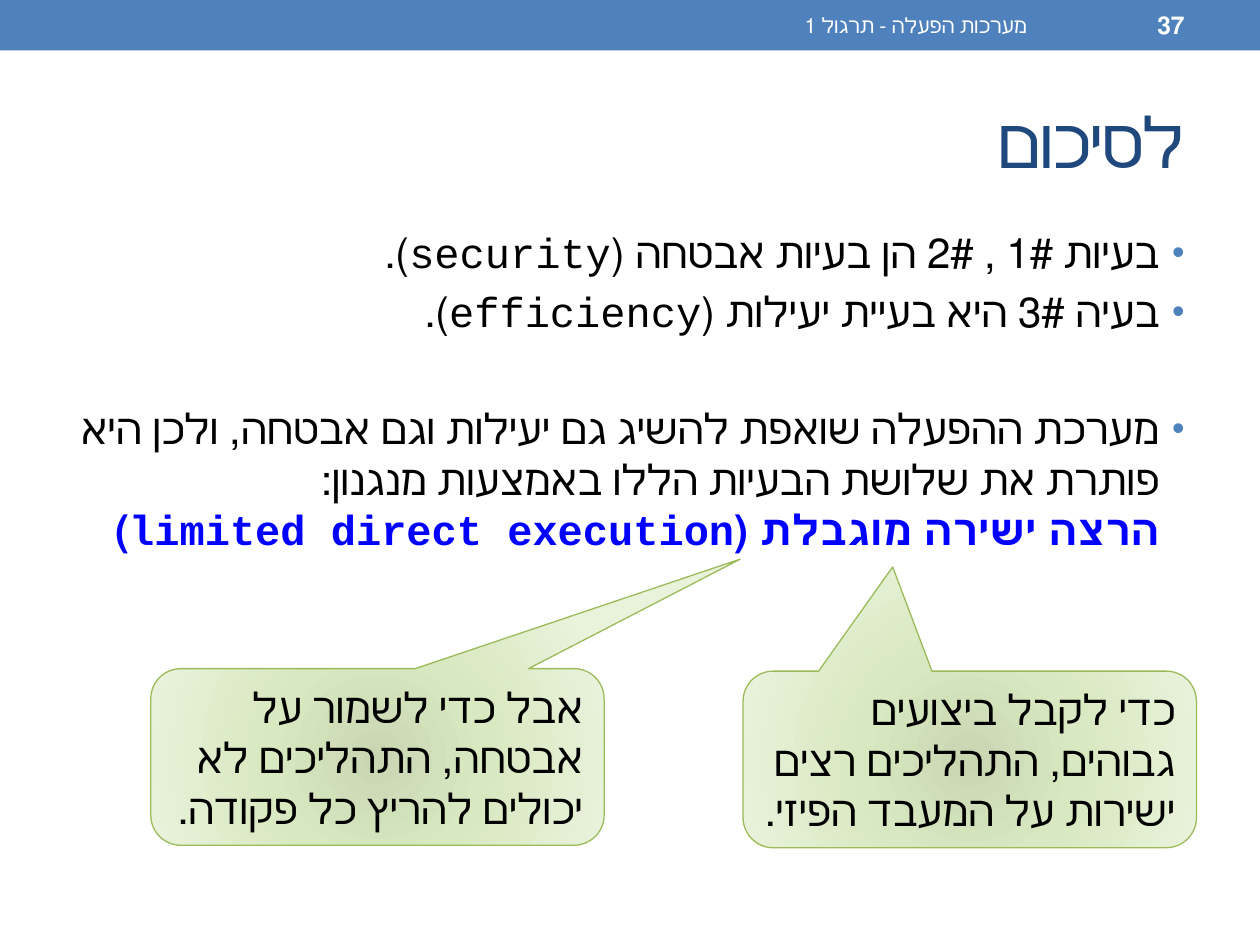
from lxml.etree import SubElement
from pptx import Presentation
from pptx.dml.color import RGBColor
from pptx.enum.shapes import MSO_SHAPE as Shape
from pptx.enum.text import MSO_ANCHOR as Anchor, PP_ALIGN as Align
from pptx.oxml import parse_xml
from pptx.oxml.ns import nsdecls, qn
from pptx.util import Cm, Pt


def rgb(code):
    return RGBColor.from_string(code)


def style(frame, size, color, font="Courier New", bold=False, anchor=Anchor.MIDDLE):
    """Format a frame of right-to-left text."""
    frame.word_wrap = True
    frame.vertical_anchor = anchor
    for para in frame.paragraphs:
        para.alignment = Align.RIGHT
        para._p.get_or_add_pPr().set("rtl", "1")
        for run in para.runs:
            run.font.size = Pt(size)
            run.font.bold = bold
            run.font.color.rgb = rgb(color)
            run.font.name = font


prs = Presentation()
prs.slide_width, prs.slide_height = Cm(25.4), Cm(19.05)
slide = prs.slides.add_slide(prs.slide_layouts[5])
shapes = slide.shapes

# Header band
band = shapes.add_shape(Shape.RECTANGLE, 0, 0, prs.slide_width, Cm(1.02))
band.shadow.inherit = False
band.fill.solid()
band.fill.fore_color.rgb = rgb("4F81BD")
band.line.fill.background()

# Course name and page number
for text, left, width, size, font, bold in [
    ("מערכות הפעלה - תרגול 1", 9.53, 11.43, 12, "Courier New", False),
    ("37", 21.17, 2.96, 14, "Arial", True),
]:
    box = shapes.add_textbox(Cm(left), Cm(0.05), Cm(width), Cm(0.91))
    box.text_frame.text = text
    style(box.text_frame, size, "FFFFFF", font, bold)

# Title
title = shapes.title
title.left, title.top, title.width, title.height = Cm(1.27), Cm(1.47), Cm(22.86), Cm(2.74)
title.text_frame.text = "לסיכום"
style(title.text_frame, 40, "1F497D")
title.text_frame.paragraphs[0].runs[0]._r.rPr.set("spc", "-100")

# Bullets, with a wider gap before the last one
body = shapes.add_textbox(Cm(1.27), Cm(4.45), Cm(22.86), Cm(13.54)).text_frame
points = [
    ("בעיות 1# , 2# הן בעיות אבטחה (security).", 4.8),
    ("בעיה 3# היא בעיית יעילות (efficiency).", 4.8),
    ("מערכת ההפעלה שואפת להשיג גם יעילות וגם אבטחה, ולכן היא פותרת את "
     "שלושת הבעיות הללו באמצעות מנגנון:\vהרצה ישירה מוגבלת (limited direct execution)", 38),
]
body.text = "\n".join(text for text, gap in points)
style(body, 24, "000000", anchor=Anchor.TOP)
for para, (text, gap) in zip(body.paragraphs, points):
    para.space_before = Pt(gap)
    props = para._p.pPr
    props.set("marL", str(Cm(0.51)))
    props.set("indent", str(-Cm(0.51)))
    color = SubElement(props, qn("a:buClr"))
    SubElement(color, qn("a:srgbClr")).set("val", "4F81BD")
    SubElement(props, qn("a:buSzPct")).set("val", "85000")
    SubElement(props, qn("a:buFont")).set("typeface", "Arial")
    SubElement(props, qn("a:buChar")).set("char", "•")
term = body.paragraphs[-1].runs[-1].font
term.bold = True
term.color.rgb = rgb("0000FF")

# Callouts with a radial green fill
stops = "".join(
    f'<a:gs pos="{pos * 1000}"><a:srgbClr val="{code}"/></a:gs>'
    for pos, code in [(0, "C8D7B2"), (45, "D8E8C0"), (100, "E9F3DC")]
)
grad = (
    f'<a:gradFill {nsdecls("a")} rotWithShape="1"><a:gsLst>{stops}</a:gsLst>'
    '<a:path path="circle"><a:fillToRect l="50000" t="50000" r="50000" b="50000"/>'
    "</a:path></a:gradFill>"
)
for text, left, top, tip in [
    ("כדי לקבל ביצועים גבוהים, התהליכים רצים ישירות על המעבד הפיזי.",
     14.98, 13.53, (-0.17, -1.09)),
    ("אבל כדי לשמור על אבטחה, התהליכים לא יכולים להריץ כל פקודה.",
     3.04, 13.48, (0.8, -1.12)),
]:
    note = shapes.add_shape(Shape.ROUNDED_RECTANGULAR_CALLOUT, Cm(left), Cm(top), Cm(9.14), Cm(3.56))
    note.shadow.inherit = False
    note.adjustments[0], note.adjustments[1] = tip
    note.adjustments[2] = 0.17
    note.line.color.rgb = rgb("9BBB59")
    note.line.width = Pt(0.75)
    note._element.spPr.find(qn("a:prstGeom")).addnext(parse_xml(grad))
    note.text_frame.text = text
    style(note.text_frame, 24, "000000", "Arial")

prs.save("out.pptx")
